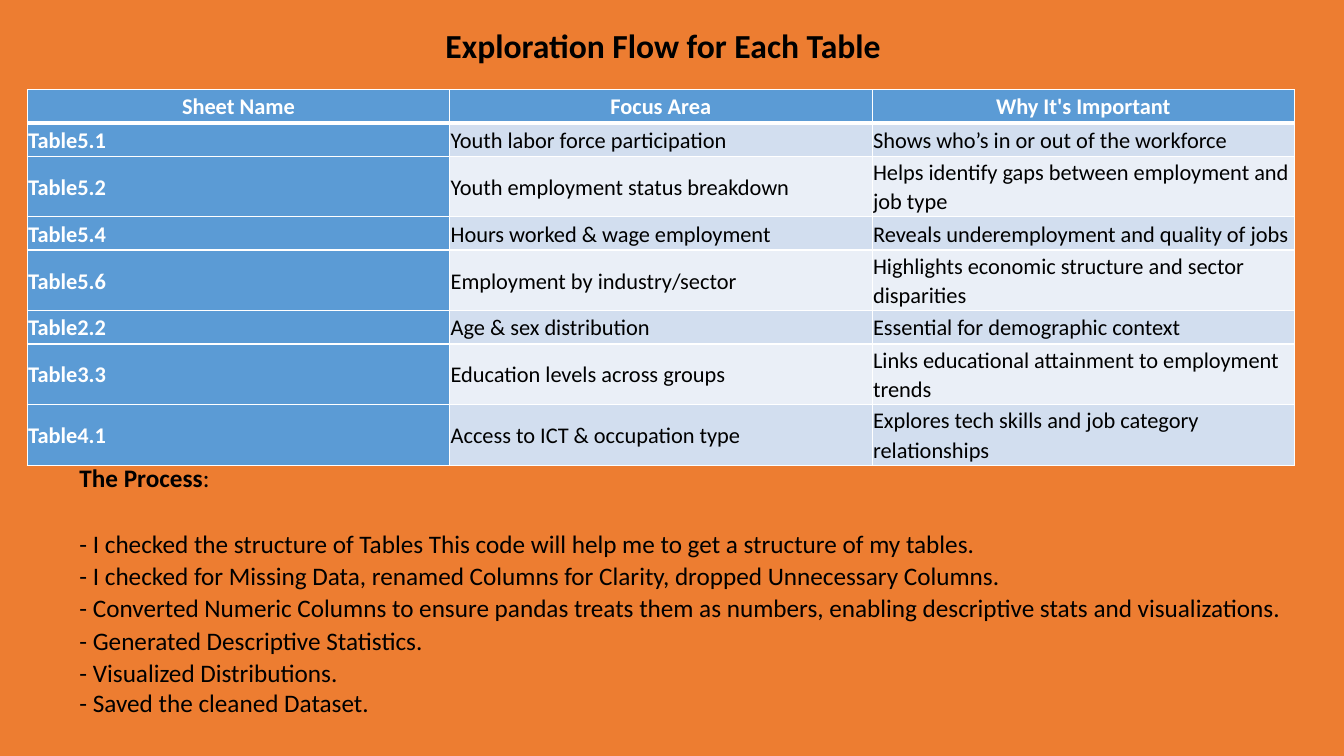
from lxml.etree import SubElement
from pptx import Presentation
from pptx.dml.color import RGBColor
from pptx.enum.text import MSO_ANCHOR as Anchor, MSO_AUTO_SIZE as AutoSize, PP_ALIGN as Align
from pptx.oxml.ns import qn
from pptx.util import Inches, Pt

HEADERS = ["Sheet Name", "Focus Area", "Why It's Important"]
SHEETS = [
    ["Table5.1", "Youth labor force participation", "Shows who’s in or out of the workforce"],
    ["Table5.2", "Youth employment status breakdown", "Helps identify gaps between employment and job type"],
    ["Table5.4", "Hours worked & wage employment", "Reveals underemployment and quality of jobs"],
    ["Table5.6", "Employment by industry/sector", "Highlights economic structure and sector disparities"],
    ["Table2.2", "Age & sex distribution", "Essential for demographic context"],
    ["Table3.3", "Education levels across groups", "Links educational attainment to employment trends"],
    ["Table4.1", "Access to ICT & occupation type", "Explores tech skills and job category relationships"],
]
STEPS = [
    "- I checked the structure of Tables This code will help me to get a structure of my tables.",
    "- I checked for Missing Data, renamed Columns for Clarity, dropped Unnecessary Columns.",
    "- Converted Numeric Columns to ensure pandas treats them as numbers, enabling descriptive stats and visualizations.",
    "- Generated Descriptive Statistics.",
    "- Visualized Distributions.",
    "- Saved the cleaned Dataset.",
]


def color(value):
    return RGBColor.from_string(value)


def apply(target, values):
    for name, value in values.items():
        setattr(target, name, value)


class SlideBuilder:
    """Holds the style and the current slide, and adds styled elements to it."""

    font = "Calibri"
    background, accent, white, black = "ED7D31", "5B9BD5", "FFFFFF", "000000"
    bands = ["D2DEEF", "EAEFF7"]
    line_spacing = 1.07

    def __init__(self, presentation):
        self.slide = presentation.slides.add_slide(presentation.slide_layouts[6])
        fill = self.slide.background.fill
        fill.solid()
        fill.fore_color.rgb = color(self.background)

    def run(self, paragraph, text, size, bold=False, ink=black):
        run = paragraph.add_run()
        run.text = text
        apply(run.font, {"name": self.font, "size": Pt(size), "bold": bold})
        run.font.color.rgb = color(ink)

    def text_box(self, left, top, width, height, **frame_format):
        shape = self.slide.shapes.add_textbox(
            Inches(left), Inches(top), Inches(width), Inches(height))
        apply(shape.text_frame, {
            "word_wrap": True, "auto_size": AutoSize.SHAPE_TO_FIT_TEXT, **frame_format})
        return shape.text_frame

    def title(self, text, left, top, width, height):
        frame = self.text_box(left, top, width, height, vertical_anchor=Anchor.MIDDLE)
        self.run(frame.paragraphs[0], text, 24, bold=True)

    def process(self, heading, steps, left, top, width, height):
        frame = self.text_box(left, top, width, height)
        paragraph = frame.paragraphs[0]
        self.run(paragraph, heading, 18, bold=True)
        self.run(paragraph, ":", 18)
        paragraph.space_after = Pt(23.5)
        for step in steps:
            self.run(frame.add_paragraph(), step, 18)
        for paragraph in frame.paragraphs:
            paragraph.line_spacing = self.line_spacing
            apply_indent = paragraph._p.get_or_add_pPr()
            apply_indent.set("marL", str(Inches(0.5)))
            apply_indent.set("indent", "0")
        frame.paragraphs[-1].line_spacing = 1.0

    def borders(self, cell, top, bottom):
        properties = cell._tc.get_or_add_tcPr()
        for side, width in {"lnL": 1, "lnR": 1, "lnT": top, "lnB": bottom}.items():
            line = SubElement(properties, qn(f"a:{side}"), w=str(Pt(width)))
            SubElement(SubElement(line, qn("a:solidFill")), qn("a:srgbClr"), val=self.white)

    def cell(self, cell, text, row, column):
        header = row == 0
        strong = header or column == 0
        margins = ["margin_left", "margin_right", "margin_top", "margin_bottom"]
        apply(cell, {"vertical_anchor": Anchor.MIDDLE,
                     **dict.fromkeys(margins, Inches(0.01))})
        self.borders(cell, top=3 if row == 1 else 1, bottom=3 if header else 1)
        cell.fill.solid()
        cell.fill.fore_color.rgb = color(self.accent if strong else self.bands[(row - 1) % 2])
        paragraph = cell.text_frame.paragraphs[0]
        apply(paragraph, {"alignment": Align.CENTER if header else Align.LEFT,
                          "line_spacing": self.line_spacing})
        self.run(paragraph, text, 16, strong, self.white if strong else self.black)

    def table(self, rows, left, top, width, row_height):
        table = self.slide.shapes.add_table(
            len(rows), len(rows[0]), Inches(left), Inches(top),
            Inches(width), Inches(row_height * len(rows))).table
        for row, texts in enumerate(rows):
            for column, text in enumerate(texts):
                self.cell(table.cell(row, column), text, row, column)


def main():
    presentation = Presentation()
    apply(presentation, {"slide_width": Inches(13.33), "slide_height": Inches(7.5)})
    builder = SlideBuilder(presentation)
    builder.table([HEADERS, *SHEETS], 0.27, 0.89, 12.57, 0.33)
    builder.title("Exploration Flow for Each Table", 4.32, 0.2, 4.68, 0.5)
    builder.process("The Process", STEPS, 0.19, 4.52, 12.93, 2.67)
    presentation.save("out.pptx")


if __name__ == "__main__":
    main()
